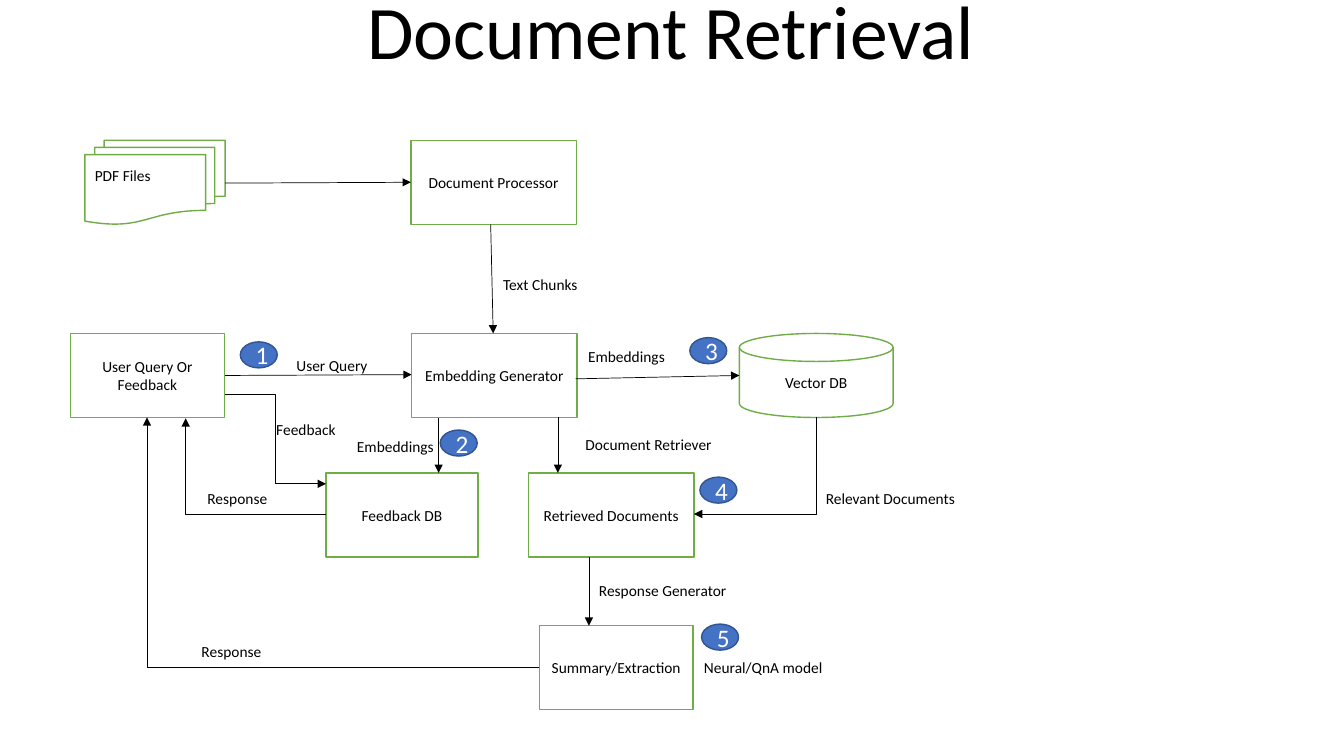
from pptx import Presentation
from pptx.dml.color import RGBColor
from pptx.enum.shapes import MSO_CONNECTOR, MSO_SHAPE
from pptx.enum.text import MSO_ANCHOR, MSO_AUTO_SIZE, PP_ALIGN
from pptx.oxml.ns import qn
from pptx.util import Inches, Pt
from lxml import etree

RECT, OVAL = MSO_SHAPE.RECTANGLE, MSO_SHAPE.OVAL
DISK = MSO_SHAPE.FLOWCHART_MAGNETIC_DISK
PAGES = MSO_SHAPE.FLOWCHART_MULTIDOCUMENT
LINE, BENT = MSO_CONNECTOR.STRAIGHT, MSO_CONNECTOR.ELBOW
MID, LOW, TOP = MSO_ANCHOR.MIDDLE, MSO_ANCHOR.BOTTOM, MSO_ANCHOR.TOP
LEFT, MIDDLE = PP_ALIGN.LEFT, PP_ALIGN.CENTER
NOFIT = MSO_AUTO_SIZE.NONE
BLACK, WHITE, GREEN, BLUE, NAVY = "000000", "FFFFFF", "70AD47", "4472C4", "325491"

deck = Presentation()
deck.slide_width, deck.slide_height = Inches(13.33), Inches(7.5)
slide = deck.slides.add_slide(deck.slide_layouts[5])
shapes = slide.shapes

# Grid of 160 columns by 90 rows
CELL = deck.slide_height / 90
ROWS = 16.7, 39.7, 56.3, 74.5
TALL = 10


def grid(*cells):
    return [round(n * CELL) for n in cells]


def write(shape, text, size=11, color=BLACK, align=MIDDLE, anchor=MID):
    frame = shape.text_frame
    frame.text = text
    form = {"word_wrap": True, "auto_size": NOFIT, "vertical_anchor": anchor}
    for key, value in form.items():
        setattr(frame, key, value)
    para = frame.paragraphs[0]
    para.alignment = align
    for key, value in {"name": "Calibri", "size": Pt(size)}.items():
        setattr(para.font, key, value)
    para.font.color.rgb = RGBColor.from_string(color)


# Title
title = shapes.title
place = dict(zip(("left", "top", "width", "height"), grid(2.2, 0, 155.3, 9.6)))
for key, value in place.items():
    setattr(title, key, value)
write(title, "Document Retrieval", 54, anchor=LOW)
title.text_frame.paragraphs[0].line_spacing = 0.9

# Steps of the flow, then numbered badges
steps = [
    (PAGES, "", 10.1, ROWS[0], 16.7),
    (RECT, "Document Processor", 48.9, ROWS[0], 19.7),
    (RECT, "User Query Or Feedback", 8.4, ROWS[1], 18.3),
    (RECT, "Embedding Generator", 49, ROWS[1], 19.7),
    (DISK, "Vector DB", 88, ROWS[1], 18.3),
    (RECT, "Feedback DB", 38.8, ROWS[2], 18.1),
    (RECT, "Retrieved Documents", 62.9, ROWS[2], 19.7),
    (RECT, "Summary/Extraction", 64.2, ROWS[3], 18.3),
]
spots = [(28.6, 40.7), (52.4, 51.2), (82.1, 40.2), (83.3, 56.8), (83.5, 74.3)]
nodes = [(*step, TALL, WHITE, GREEN, 11, BLACK) for step in steps]
nodes += [(OVAL, str(num), *spot, 4.4, 3.1, BLUE, NAVY, 18, WHITE)
          for num, spot in enumerate(spots, 1)]
for kind, text, x, y, w, h, fill, edge, size, ink in nodes:
    node = shapes.add_shape(kind, *grid(x, y, w, h))
    node.shadow.inherit = False
    node.fill.solid()
    node.fill.fore_color.rgb = RGBColor.from_string(fill)
    node.line.color.rgb = RGBColor.from_string(edge)
    node.line.width = Pt(1)
    if text:
        write(node, text, size, ink)

# Arrows: preset, start, end, end that bears the head
arrows = [
    ("line", 26.8, 21.8, 48.9, 21.7, "tailEnd"),
    ("line", 26.8, 44.7, 49, 44.6, "tailEnd"),
    ("line", 68.5, 45.1, 88, 44.7, "tailEnd"),
    ("line", 58.4, 26.7, 58.7, 39.7, "tailEnd"),
    ("line", 66.4, 49.6, 66.4, 56.3, "tailEnd"),
    ("line", 70.1, 66.3, 70.1, 74.5, "tailEnd"),
    ("line", 52.2, 49.8, 52.2, 56.3, "tailEnd"),
    ("bentConnector2", 82.6, 61.2, 97.2, 49.7, "headEnd"),
    ("bentConnector2", 64.2, 79.5, 17.5, 49.7, "tailEnd"),
    ("bentConnector2", 38.8, 61.2, 22.1, 49.8, "tailEnd"),
    ("bentConnector3", 26.8, 47, 38.8, 57.6, "tailEnd"),
]
for form, x, y, far, low, head in arrows:
    kind = LINE if form == "line" else BENT
    arrow = shapes.add_connector(kind, *grid(x, y, far, low))
    arrow.line.color.rgb = RGBColor.from_string(BLACK)
    arrow.line.width = Pt(0.5)
    props = arrow._element.spPr
    props.find(qn("a:prstGeom")).set("prst", form)
    etree.SubElement(props.find(qn("a:ln")), qn("a:" + head), type="triangle")
    etree.SubElement(props, qn("a:effectLst"))

# Labels
labels = [
    ("PDF Files", 10.1, 19.2, 13.4),
    ("Text Chunks", 58.7, 32.2, 15.8),
    ("User Query", 34.1, 41.8, 11.8),
    ("Embeddings", 68.8, 40.7, 18.1),
    ("Feedback", 31.7, 49.4, 11.8),
    ("Embeddings", 41.3, 51.4, 18.1),
    ("Document Retriever", 68.5, 51.2, 18.1),
    ("Response", 23.5, 57.6, 18.1),
    ("Relevant Documents", 97.1, 57.6, 18.4),
    ("Response Generator", 70.1, 68.6, 18.1),
    ("Response", 22.8, 75.9, 18.1),
    ("Neural/QnA model", 82.6, 77.8, 18.1),
]
for text, x, y, w in labels:
    label = shapes.add_textbox(*grid(x, y, w, 3.5))
    write(label, text, align=LEFT, anchor=TOP)

deck.save("out.pptx")
